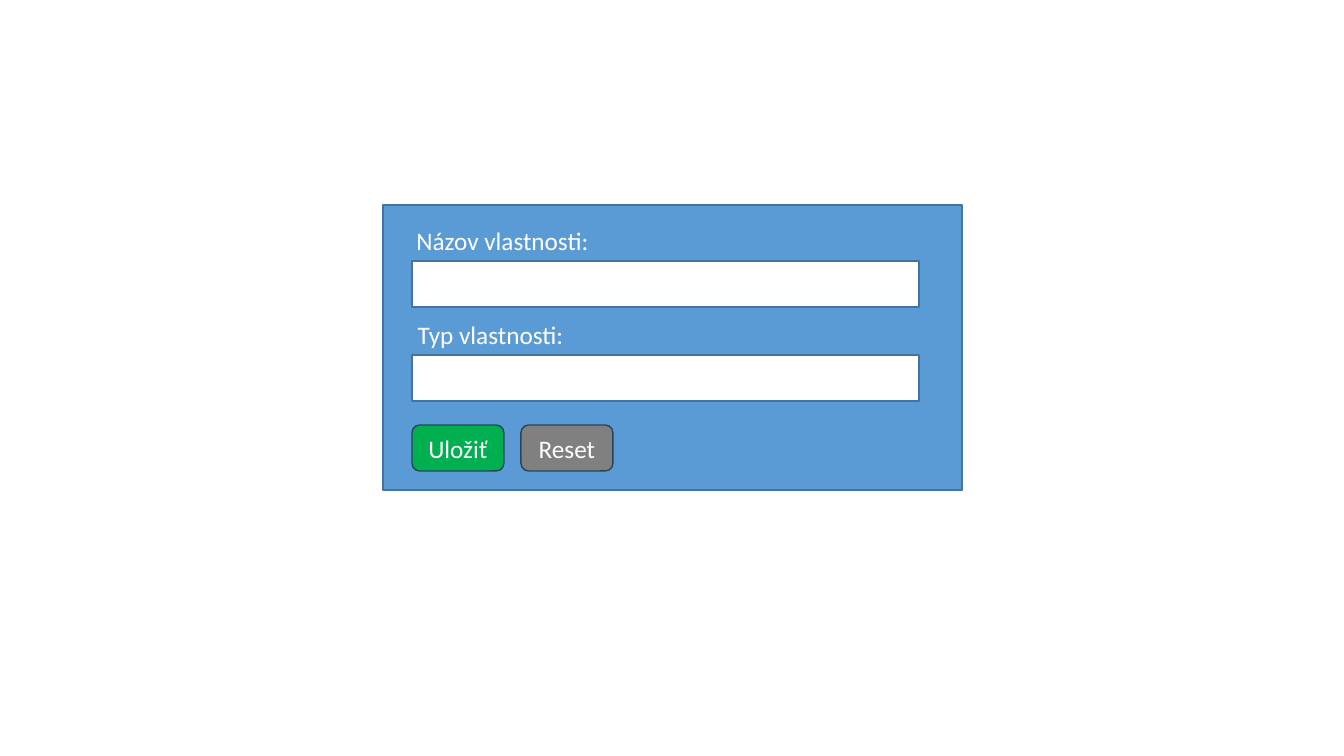
from pptx import Presentation
from pptx import util as u
from pptx.dml.color import RGBColor
from pptx.enum import shapes, text

# Content: label, label left, label width
FIELDS = [("Názov vlastnosti:", 405, 195), ("Typ vlastnosti:", 407, 167)]

WHITE = RGBColor(0xFF, 0xFF, 0xFF)
BLUE = RGBColor(0x5B, 0x9B, 0xD5)
BLUE_EDGE = RGBColor(0x43, 0x73, 0x9E)
GREEN = RGBColor(0x00, 0xB0, 0x50)
GRAY = RGBColor(0x80, 0x80, 0x80)
DARK_EDGE = RGBColor(0x28, 0x44, 0x5D)
BUTTONS = [("Uložiť", GREEN), ("Reset", GRAY)]

# Layout in px
PX = u.Inches(1) / 100.8
PANEL = (383, 205, 579, 285)
LEFT, HEIGHT = 412, 46
FIELD_TOP, FIELD_WIDTH, FIELD_STEP = 261, 507, 94
LABEL_RISE, LABEL_HEIGHT = 41, 40
BUTTON_TOP, BUTTON_WIDTH, BUTTON_STEP = 425, 92, 109


def place(*lengths):
    return [round(length * PX) for length in lengths]


def write(box, words):
    para = box.text_frame.paragraphs[0]
    para.text = words
    para.alignment = text.PP_ALIGN.CENTER
    para.font.name = "Calibri"
    para.font.size = u.Pt(18)
    para.font.color.rgb = WHITE


def add_box(page, kind, area, fill, edge):
    box = page.shapes.add_shape(kind, *place(*area))
    box.shadow.inherit = False
    box.fill.solid()
    box.fill.fore_color.rgb = fill
    box.line.color.rgb = edge
    box.line.width = u.Pt(1)
    return box


def main():
    deck = Presentation()
    deck.slide_width, deck.slide_height = place(1344, 756)
    page = deck.slides.add_slide(deck.slide_layouts[6])
    rectangle = shapes.MSO_SHAPE.RECTANGLE
    rounded = shapes.MSO_SHAPE.ROUNDED_RECTANGLE

    # Form panel
    add_box(page, rectangle, PANEL, BLUE, BLUE_EDGE)

    # Labelled input fields
    for row, (words, left, width) in enumerate(FIELDS):
        top = FIELD_TOP + row * FIELD_STEP
        add_box(page, rectangle, (LEFT, top, FIELD_WIDTH, HEIGHT), WHITE, BLUE_EDGE)
        label = page.shapes.add_textbox(
            *place(left, top - LABEL_RISE, width, LABEL_HEIGHT))
        label.text_frame.word_wrap = False
        label.text_frame.auto_size = text.MSO_AUTO_SIZE.SHAPE_TO_FIT_TEXT
        write(label, words)

    # Buttons
    for column, (words, fill) in enumerate(BUTTONS):
        left = LEFT + column * BUTTON_STEP
        button = add_box(page, rounded, (left, BUTTON_TOP, BUTTON_WIDTH, HEIGHT),
                         fill, DARK_EDGE)
        button.text_frame.vertical_anchor = text.MSO_ANCHOR.MIDDLE
        write(button, words)

    deck.save("out.pptx")


if __name__ == "__main__":
    main()
